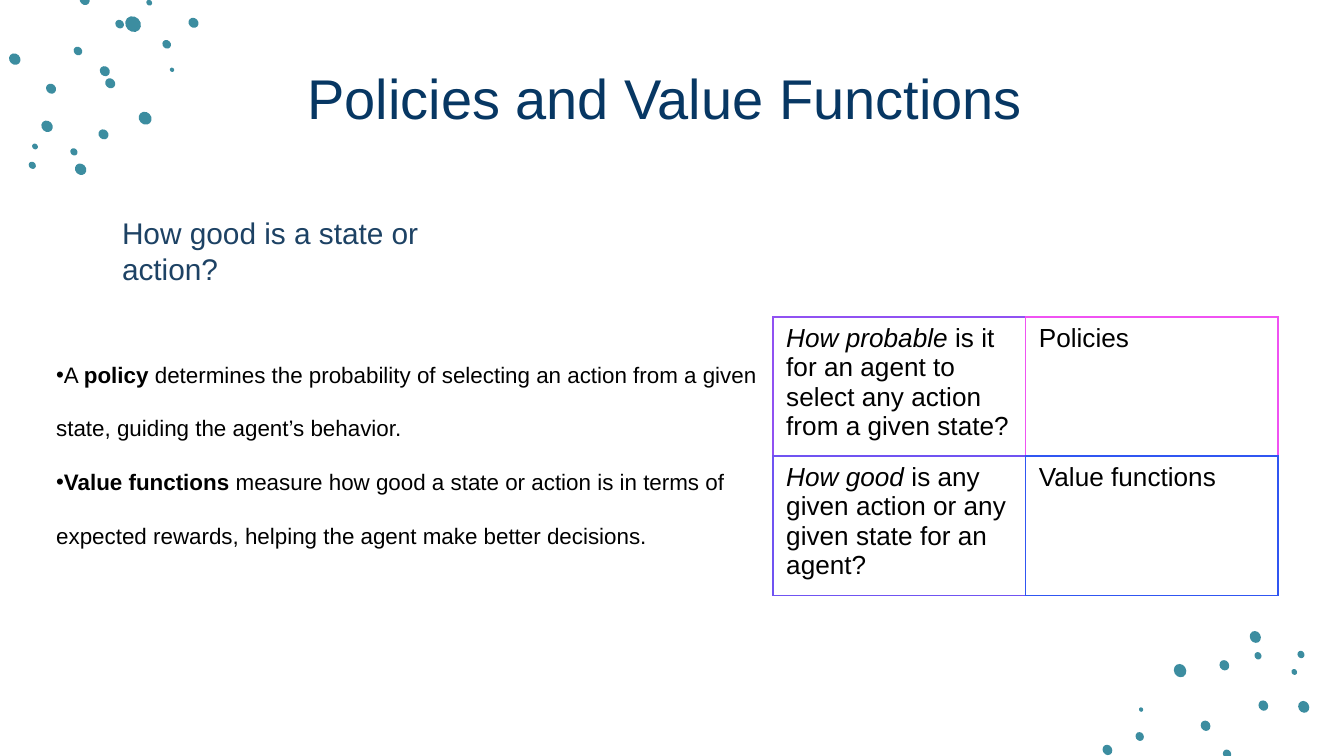
from lxml import etree
from pptx import Presentation
from pptx import util as u
from pptx.dml.color import RGBColor
from pptx.enum import shapes, text
from pptx.oxml import ns

# Content: a paragraph is a list of (words, extra format) runs
TITLE = [[("Policies and Value Functions ", {})]]
LEAD = [[("How good is a state or action?", {})]]
BOLD, ITAL = {"bold": True}, {"italic": True}
POINTS = [
    [("A ", {}), ("policy", BOLD),
     (" determines the probability of selecting an action from a given state, "
      "guiding the agent’s behavior.", {})],
    [("Value functions", BOLD),
     (" measure how good a state or action is in terms of expected rewards, "
      "helping the agent make better decisions.", {})],
]
ROWS = [
    [[("How probable", ITAL),
      (" is it for an agent to select any action from a given state?", {})],
     [("Policies", {})]],
    [[("How good", ITAL),
      (" is any given action or any given state for an agent?", {})],
     [("Value functions", {})]],
]
# Dots by corner: turn in degrees, then (centre x, centre y, breadth)
DOTS = [
    (45, [(0.99, 0.18, 0.11), (1.11, 0.02, 0.04), (0.63, 0, 0.07),
          (0.89, 0.18, 0.06), (0.58, 0.38, 0.06), (0.78, 0.53, 0.07),
          (0.82, 0.62, 0.07), (0.38, 0.66, 0.07), (0.77, 1, 0.07),
          (0.35, 0.94, 0.08), (0.55, 1.13, 0.05), (0.6, 1.26, 0.08),
          (0.26, 1.09, 0.04), (0.24, 1.23, 0.05), (1.08, 0.88, 0.09),
          (1.44, 0.17, 0.07), (1.24, 0.33, 0.06), (1.28, 0.52, 0.03),
          (0.11, 0.44, 0.08)]),
    (60, [(9.13, 5.61, 0.06), (8.97, 5.4, 0.07), (9.4, 5.25, 0.07),
          (9.11, 4.95, 0.07), (9.36, 4.88, 0.05), (9.34, 4.74, 0.08),
          (9.63, 5, 0.04), (9.68, 4.87, 0.05), (8.78, 4.99, 0.09),
          (8.24, 5.58, 0.07), (8.48, 5.48, 0.06), (8.49, 5.28, 0.03),
          (9.7, 5.26, 0.08)]),
]

THEME = {
    "font": "Arial", "dot": "3C8DA0", "cell": "FFFFFF",
    "title": (30, "073763"), "lead": (16, "1D4264"),
    "body": (12, "000000"), "table": (14, "000000"),
}
# Cell edges: left, right, top, bottom
EDGES = [
    [("9051F2", "F052F2", "9051F2", "7053F2"),
     ("F052F2", "F052F2", "F052F2", "3056F2")],
    [("7053F2", "3056F2", "7053F2", "7053F2"),
     ("3056F2", "3056F2", "3056F2", "3056F2")],
]
PLAIN = "{2D5ABB26-0587-4C30-8999-92F81FD0307C}"  # table style without lines
COL, ROW = 1.88, 1.03
STRETCH = 1.13  # dot length over breadth

deck = Presentation()
deck.slide_width, deck.slide_height = u.Inches(10), u.Inches(10 * 9 / 16)
slide = deck.slides.add_slide(deck.slide_layouts[6])


def add_tag(node, name, **attrs):
    return etree.SubElement(node, ns.qn("a:" + name), attrs)


def write(frame, paras, role, form=None, bullet=False):
    """Fill a text frame with runs in one theme role."""
    size, tint = THEME[role]
    for n, runs in enumerate(paras):
        para = frame.paragraphs[0] if n == 0 else frame.add_paragraph()
        for key, val in (form or {}).items():
            setattr(para, key, val)
        if bullet:
            prop = para._p.get_or_add_pPr()
            prop.set("marL", "0")
            prop.set("indent", str(-u.Inches(0.08)))
            add_tag(add_tag(prop, "buClr"), "srgbClr", val=tint)
            add_tag(prop, "buFont", typeface=THEME["font"])
            add_tag(prop, "buChar", char="•")
        for words, extra in runs:
            run = para.add_run()
            run.text = words
            look = {"name": THEME["font"], "size": u.Pt(size), **extra}
            for key, val in look.items():
                setattr(run.font, key, val)
            run.font.color.rgb = RGBColor.from_string(tint)


def add_box(spot, paras, role, anchor, form=None, bullet=False):
    frame = slide.shapes.add_textbox(*map(u.Inches, spot)).text_frame
    frame.word_wrap = True
    frame.vertical_anchor = anchor
    write(frame, paras, role, form, bullet)
    return frame


def add_edge(cell, side, tint, width):
    line = add_tag(cell._tc.get_or_add_tcPr(), "ln" + side,
                   w=str(u.Pt(width)), cap="flat", cmpd="sng", algn="ctr")
    add_tag(add_tag(line, "solidFill"), "srgbClr", val=tint)
    add_tag(line, "prstDash", val="solid")


# Corner dots
for turn, group in DOTS:
    for x, y, size in group:
        wide = size * STRETCH
        spot = (x - wide / 2, y - size / 2, wide, size)
        dot = slide.shapes.add_shape(shapes.MSO_SHAPE.OVAL, *map(u.Inches, spot))
        dot.rotation = turn
        dot.shadow.inherit = False
        dot.fill.solid()
        dot.fill.fore_color.rgb = RGBColor.from_string(THEME["dot"])
        dot.line.fill.background()

# Title, lead and bullet points
TOP, MID = text.MSO_ANCHOR.TOP, text.MSO_ANCHOR.MIDDLE
add_box((0.81, 0.41, 8.39, 0.63), TITLE, "title", MID,
        {"alignment": text.PP_ALIGN.CENTER})
lead = add_box((0.81, 1.55, 2.96, 0.37), LEAD, "lead", TOP)
body = add_box((0.32, 2.46, 5.43, 1.65), POINTS, "body", MID,
               {"line_spacing": 2.0}, bullet=True)
for frame in (lead, body):
    frame.auto_size = text.MSO_AUTO_SIZE.SHAPE_TO_FIT_TEXT

# Question table
spot = (5.75, 2.36, 2 * COL, 2 * ROW)
table = slide.shapes.add_table(2, 2, *map(u.Inches, spot)).table
table.first_row = table.horz_banding = False
table._tbl.tblPr.find(ns.qn("a:tableStyleId")).text = PLAIN
for r, row in enumerate(ROWS):
    for c, runs in enumerate(row):
        cell = table.cell(r, c)
        for side, tint in zip("LRTB", EDGES[r][c]):
            add_edge(cell, side, tint, 0.75 if r == 1 and side == "B" else 1)
        cell.fill.solid()
        cell.fill.fore_color.rgb = RGBColor.from_string(THEME["cell"])
        write(cell.text_frame, [runs], "table")

deck.save("out.pptx")
